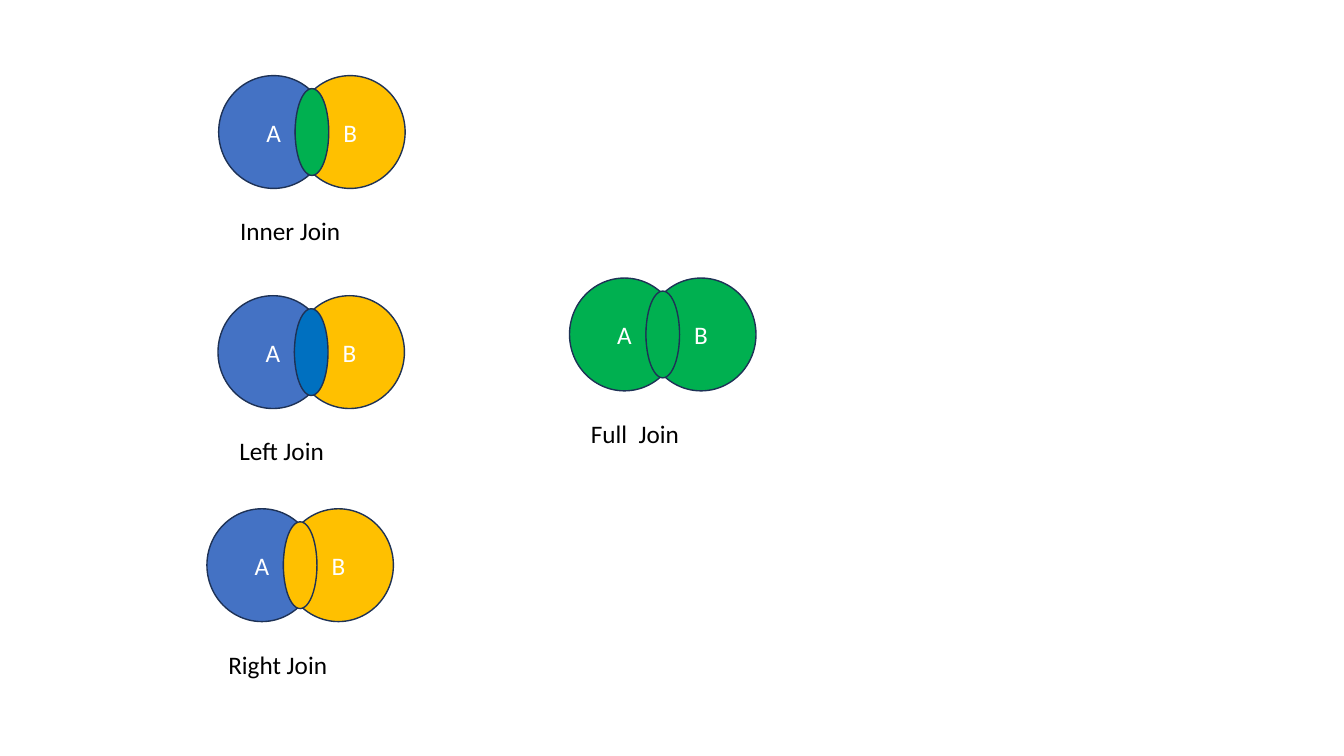
from dataclasses import dataclass

from pptx import Presentation
from pptx.dml.color import RGBColor
from pptx.enum import shapes, text
from pptx.util import Pt


@dataclass(frozen=True)
class Theme:
    blue: str = "4472C4"
    deep_blue: str = "0070C0"
    gold: str = "FFC000"
    green: str = "00B050"
    outline: str = "1E3256"
    white: str = "FFFFFF"
    black: str = "000000"
    font: str = "Calibri"
    size: float = 18
    line: float = 1


THEME = Theme()

# Sizes shared by all diagrams, in points
CIRCLE_W, CIRCLE_H = 78.5, 80.6
CIRCLE_STEP = 54.7
LENS_W, LENS_H = 24, 62
LABEL_DROP, LABEL_W, LABEL_H = 96.5, 170.6, 29
LABEL_INDENT = 15.3

# Left, top, caption, then fills of A, B and their overlap
JOINS = [
    (156.2, 54, "Inner Join", THEME.blue, THEME.gold, THEME.green),
    (155.7, 211.2, "Left Join", THEME.blue, THEME.gold, THEME.deep_blue),
    (147.8, 363.4, "Right Join", THEME.blue, THEME.gold, THEME.gold),
    (406.8, 198.6, "Full  Join", THEME.green, THEME.green, THEME.green),
]


def style_paragraph(p, words, color):
    p.text = words
    p.font.name = THEME.font
    p.font.size = Pt(THEME.size)
    p.font.color.rgb = RGBColor.from_string(color)


def add_ellipse(s, left, top, width, height, fill, letter=""):
    sp = s.shapes.add_shape(shapes.MSO_SHAPE.OVAL,
                            Pt(left), Pt(top), Pt(width), Pt(height))
    sp.shadow.inherit = False
    sp.fill.solid()
    sp.fill.fore_color.rgb = RGBColor.from_string(fill)
    sp.line.color.rgb = RGBColor.from_string(THEME.outline)
    sp.line.width = Pt(THEME.line)
    if letter:
        tf = sp.text_frame
        tf.vertical_anchor = text.MSO_ANCHOR.MIDDLE
        p = tf.paragraphs[0]
        style_paragraph(p, letter, THEME.white)
        p.alignment = text.PP_ALIGN.CENTER


def add_caption(s, left, top, caption):
    sp = s.shapes.add_textbox(Pt(left), Pt(top), Pt(LABEL_W), Pt(LABEL_H))
    tf = sp.text_frame
    tf.word_wrap = True
    tf.auto_size = text.MSO_AUTO_SIZE.SHAPE_TO_FIT_TEXT
    tf.margin_left = Pt(LABEL_INDENT)
    style_paragraph(tf.paragraphs[0], caption, THEME.black)


def add_join(s, left, top, caption, fill_a, fill_b, fill_overlap):
    # Circles
    for i, (letter, fill) in enumerate([("A", fill_a), ("B", fill_b)]):
        add_ellipse(s, left + i * CIRCLE_STEP, top,
                    CIRCLE_W, CIRCLE_H, fill, letter)
    # Overlap, centred on the pair
    add_ellipse(s, left + (CIRCLE_STEP + CIRCLE_W - LENS_W) / 2,
                top + (CIRCLE_H - LENS_H) / 2, LENS_W, LENS_H, fill_overlap)
    # Caption
    add_caption(s, left, top + LABEL_DROP, caption)


def main():
    prs = Presentation()
    prs.slide_width, prs.slide_height = Pt(960), Pt(540)
    s = prs.slides.add_slide(prs.slide_layouts[6])
    for join in JOINS:
        add_join(s, *join)
    prs.save("out.pptx")


if __name__ == "__main__":
    main()
